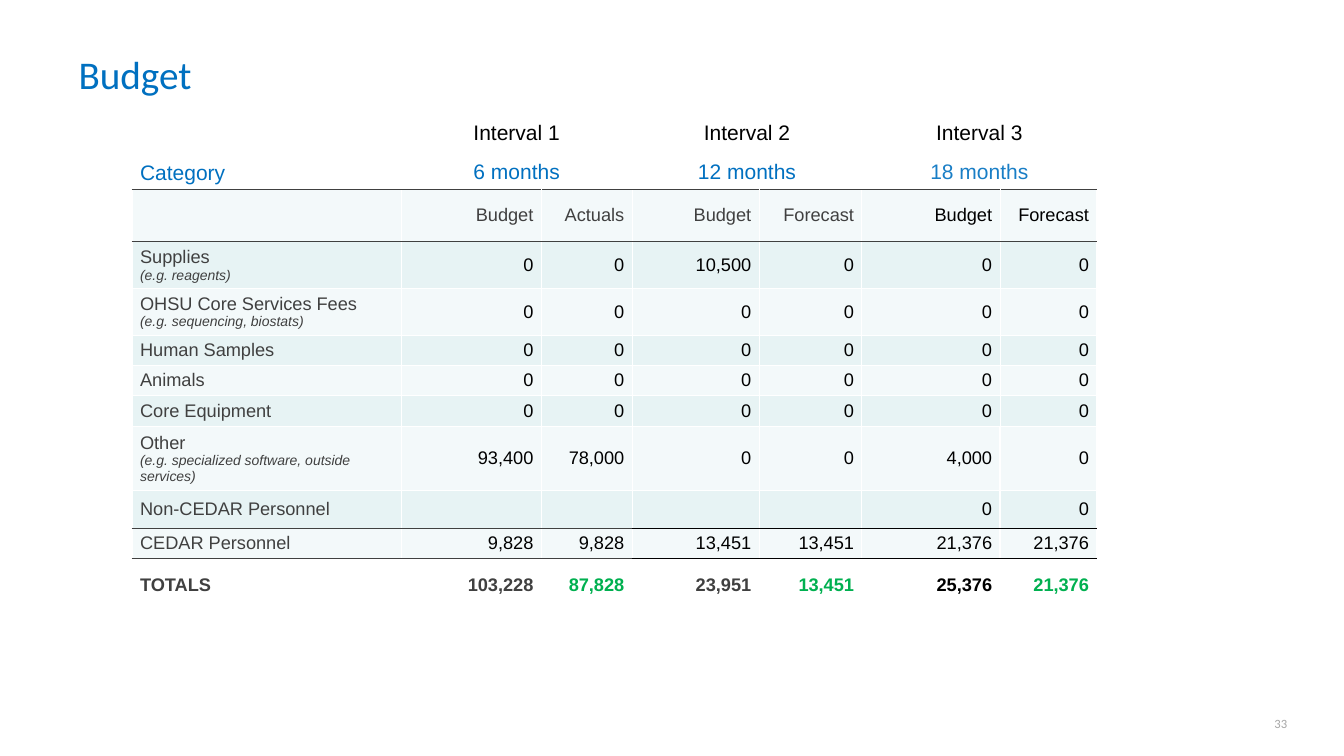
"""Build the budget slide: a title, a table of costs by interval and a page number."""
from lxml import etree
from pptx import Presentation, util as u
from pptx.dml.color import RGBColor
from pptx.enum import text
from pptx.oxml import ns

BLUE = RGBColor(0x00, 0x70, 0xC0)
SKY = RGBColor(0x19, 0x7E, 0xC6)
GREEN = RGBColor(0x00, 0xB0, 0x50)
GRAY = RGBColor(0x40, 0x40, 0x40)
PALE = RGBColor(0xA6, 0xA6, 0xA6)
BLACK = RGBColor(0x00, 0x00, 0x00)
WHITE = RGBColor(0xFF, 0xFF, 0xFF)
LIGHT = RGBColor(0xF3, 0xF9, 0xFA)
TINT = RGBColor(0xE7, 0xF3, 0xF4)

LEFT, MID, RIGHT = text.PP_ALIGN.LEFT, text.PP_ALIGN.CENTER, text.PP_ALIGN.RIGHT


def write(para, words, size, color, align=LEFT, face="Arial", bold=False, slant=False):
    para.alignment = align
    run = para.add_run()
    run.text = words
    font = run.font
    font.name, font.size, font.bold, font.italic = face, u.Pt(size), bold, slant
    font.color.rgb = color


def edge(cell, side, color, width):
    line = etree.SubElement(cell._tc.get_or_add_tcPr(), ns.qn("a:ln" + side), w=str(u.Pt(width)))
    fill = etree.SubElement(line, ns.qn("a:solidFill"))
    etree.SubElement(fill, ns.qn("a:srgbClr"), val=str(color))


deck = Presentation()
deck.slide_width, deck.slide_height = u.Cm(33.87), u.Cm(19.05)
slide = deck.slides.add_slide(deck.slide_layouts[6])

page = slide.shapes.add_textbox(u.Cm(31.42), u.Cm(18.03), u.Cm(1.02), u.Cm(0.38)).text_frame
page.margin_left = page.margin_right = page.margin_top = page.margin_bottom = 0
page.word_wrap = True
page.vertical_anchor = text.MSO_ANCHOR.BOTTOM
write(page.paragraphs[0], "33", 9, PALE, RIGHT, "Calibri")

title = slide.shapes.add_textbox(u.Cm(1.73), u.Cm(1.14), u.Cm(30.4), u.Cm(2.16)).text_frame
title.word_wrap = True
write(title.paragraphs[0], "Budget", 28, BLUE, face="Calibri")

costs = [
    ("Supplies", "(e.g. reagents)", "0 0 10,500 0 0 0"),
    ("OHSU Core Services Fees", "(e.g. sequencing, biostats)", "0 0 0 0 0 0"),
    ("Human Samples", "", "0 0 0 0 0 0"),
    ("Animals", "", "0 0 0 0 0 0"),
    ("Core Equipment", "", "0 0 0 0 0 0"),
    ("Other", "(e.g. specialized software, outside services)", "93,400 78,000 0 0 4,000 0"),
    ("Non-CEDAR Personnel", "", "- - - - 0 0"),
    ("CEDAR Personnel", "", "9,828 9,828 13,451 13,451 21,376 21,376"),
    ("TOTALS", "", "103,228 87,828 23,951 13,451 25,376 21,376"),
]
spans = [("Interval 1", "6 months", BLUE), ("Interval 2", "12 months", BLUE),
         ("Interval 3", "18 months", SKY)]
heads = ["Budget", "Actuals", "Budget", "Forecast", "Budget", "Forecast"]
widths = [6.78, 3.53, 2.29, 3.2, 2.59, 3.48, 2.44]
heights = [0.84, 0.84, 1.32, 1.17, 1.17, 0.76, 0.76, 0.79, 1.6, 0.76, 0.76, 1.32]
last = len(heights) - 1

table = slide.shapes.add_table(len(heights), len(widths), u.Cm(3.33), u.Cm(2.97),
                               u.Cm(sum(widths)), u.Cm(sum(heights))).table
table.first_row = table.horz_banding = False
for col, width in zip(table.columns, widths):
    col.width = u.Cm(width)
for row, height in zip(table.rows, heights):
    row.height = u.Cm(height)

ruled = {2, 3, 10, 11}
for r in range(len(heights)):
    thin = 1 if r == 0 or r >= 8 else 0.67
    for c in range(len(widths)):
        cell = table.cell(r, c)
        cell.margin_left = cell.margin_right = u.Cm(0.2)
        cell.margin_top = cell.margin_bottom = u.Cm(0.1)
        if r > 1 or c == 0:
            cell.vertical_anchor = text.MSO_ANCHOR.MIDDLE
        dark = BLACK if r >= 9 and c >= 3 else GRAY
        for side in "LR":
            edge(cell, side, WHITE, thin)
        for side, rule in (("T", r), ("B", r + 1)):
            if rule in ruled:
                edge(cell, side, dark, 0.67)
            else:
                edge(cell, side, WHITE, thin)
        if r in (0, last):
            cell.fill.background()
        else:
            cell.fill.solid()
            cell.fill.fore_color.rgb = WHITE if r == 1 else TINT if r % 2 else LIGHT

write(table.cell(1, 0).text_frame.paragraphs[0], "Category", 15, BLUE)
for i, (name, term, color) in enumerate(spans):
    for r, words, ink in ((0, name, BLACK), (1, term, color)):
        cell = table.cell(r, 2 * i + 1)
        cell.merge(table.cell(r, 2 * i + 2))
        write(cell.text_frame.paragraphs[0], words, 15, ink, MID)

for c, head in enumerate(heads, 1):
    write(table.cell(2, c).text_frame.paragraphs[0], head, 13, BLACK if c > 4 else GRAY, RIGHT)

for r, (name, note, sums) in enumerate(costs, 3):
    total = r == last
    frame = table.cell(r, 0).text_frame
    write(frame.paragraphs[0], name, 13, GRAY, bold=total)
    if note:
        write(frame.add_paragraph(), note, 10, GRAY, slant=True)
    for c, value in enumerate(sums.split(), 1):
        if value == "-":
            continue
        ink = BLACK
        if total and c != 5:
            ink = GRAY if c % 2 else GREEN
        write(table.cell(r, c).text_frame.paragraphs[0], value, 13, ink, RIGHT, bold=total)

deck.save("out.pptx")
